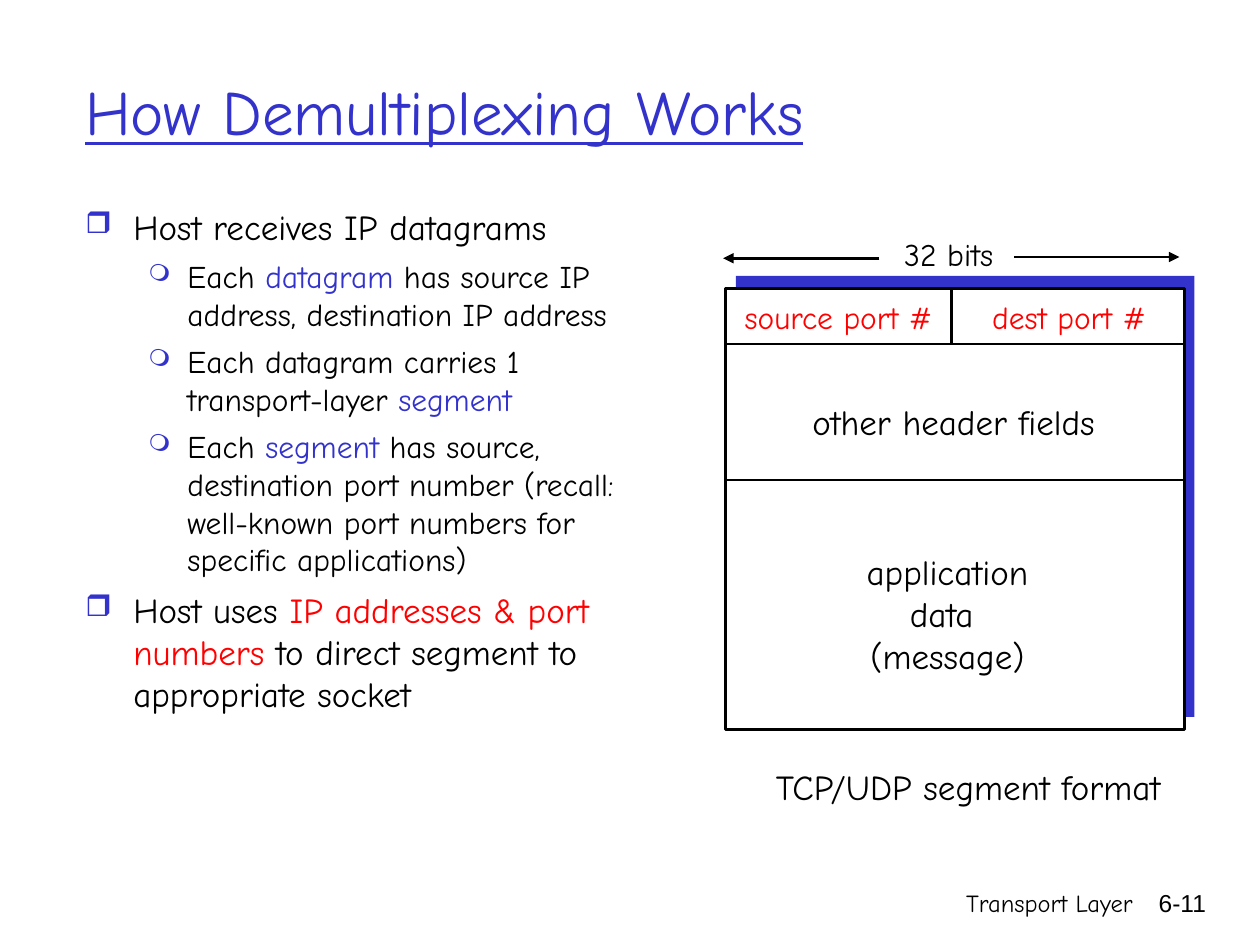
from lxml import etree
from pptx import Presentation
from pptx.dml.color import RGBColor
from pptx.enum.shapes import MSO_CONNECTOR, MSO_SHAPE
from pptx.enum.text import MSO_ANCHOR, PP_ALIGN
from pptx.oxml.ns import qn
from pptx.util import Inches, Pt

RECT = MSO_SHAPE.RECTANGLE
STRAIGHT = MSO_CONNECTOR.STRAIGHT
MIDDLE, TOP = MSO_ANCHOR.MIDDLE, MSO_ANCHOR.TOP
LEFT, CENTER, RIGHT = PP_ALIGN.LEFT, PP_ALIGN.CENTER, PP_ALIGN.RIGHT

BLACK = RGBColor(0, 0, 0)
WHITE = RGBColor(255, 255, 255)
BLUE = RGBColor(0x33, 0x33, 0xCC)
RED = RGBColor(255, 0, 0)
FONT = "Comic Neue"

LEVELS = [
    {"bullet": "❒", "bullet_size": 85, "margin": 0.38, "hang": 0.38, "size": 20, "before": 6},
    {"bullet": "❍", "bullet_size": 75, "margin": 0.81, "hang": 0.31, "size": 18, "before": 5.4},
]

BODY = [
    (0, [("Host receives IP datagrams", BLACK)]),
    (1, [("Each ", BLACK), ("datagram", BLUE),
         (" has source IP address, destination IP address", BLACK)]),
    (1, [("Each datagram carries 1 transport-layer ", BLACK), ("segment", BLUE)]),
    (1, [("Each ", BLACK), ("segment", BLUE),
         (" has source, destination port number (recall: "
          "well-known port numbers for specific applications)", BLACK)]),
    (0, [("Host uses ", BLACK), ("IP addresses & port numbers ", RED),
         ("to direct segment to appropriate socket", BLACK)]),
]

SEGMENT_LABELS = [
    ((7.01, 1.82, 1.04, 0.4), ["32 bits"], {"size": 18}),
    ((5.74, 2.32, 1.83, 0.4), ["source port #"], {"size": 18, "color": RED}),
    ((7.69, 2.32, 1.59, 0.4), ["dest port #"], {"size": 18, "color": RED}),
    ((6.2, 3.13, 2.74, 0.43), ["other header fields"], {}),
    ((6.73, 4.32, 1.58, 1.1), ["application", "data ", "(message)"], {}),
    ((5.91, 6.03, 3.55, 0.43), ["TCP/UDP segment format"], {}),
]

DIVIDERS = [
    ((5.76, 2.73), (9.4, 2.73)),
    ((5.76, 3.81), (9.4, 3.81)),
    ((7.55, 2.73), (7.55, 2.29)),
]

WIDTH_ARROWS = [
    ((8.05, 2.04), (9.36, 2.04)),
    ((6.98, 2.05), (5.74, 2.05)),
]


def add_frame(s, box, wrap=True, anchor=TOP):
    tf = s.shapes.add_textbox(*map(Inches, box)).text_frame
    tf.word_wrap = wrap
    tf.vertical_anchor = anchor
    return tf


def add_run(p, text, size=20, color=BLACK, name=FONT, underline=None):
    r = p.add_run()
    r.text = text
    r.font.color.rgb = color
    for key, value in {"size": Pt(size), "name": name, "underline": underline}.items():
        setattr(r.font, key, value)


def add_label(s, box, lines, align=CENTER, wrap=False, anchor=TOP, **style):
    tf = add_frame(s, box, wrap, anchor)
    for i, line in enumerate(lines):
        p = tf.add_paragraph() if i else tf.paragraphs[0]
        p.alignment = align
        add_run(p, line, **style)


def add_bullet(p, level):
    pPr = p._p.get_or_add_pPr()
    pPr.set("marL", str(Inches(level["margin"])))
    pPr.set("indent", str(-Inches(level["hang"])))
    color = etree.SubElement(pPr, qn("a:buClr"))
    etree.SubElement(color, qn("a:srgbClr"), val=str(BLUE))
    etree.SubElement(pPr, qn("a:buSzPct"), val=str(level["bullet_size"] * 1000))
    etree.SubElement(pPr, qn("a:buChar"), char=level["bullet"])


def add_body(s, box, items):
    tf = add_frame(s, box)
    for i, (depth, pieces) in enumerate(items):
        p = tf.add_paragraph() if i else tf.paragraphs[0]
        level = LEVELS[depth]
        add_bullet(p, level)
        p.level = depth
        if i:
            p.space_before = Pt(level["before"])
        for text, color in pieces:
            add_run(p, text, level["size"], color)


def add_rect(s, box, fill, outline=None):
    sp = s.shapes.add_shape(RECT, *map(Inches, box))
    sp.shadow.inherit = False
    sp.fill.solid()
    sp.fill.fore_color.rgb = fill
    if outline is None:
        sp.line.fill.background()
    else:
        sp.line.color.rgb = outline
        sp.line.width = Pt(1.5)


def add_line(s, start, end, arrow=False):
    line = s.shapes.add_connector(STRAIGHT, *map(Inches, start + end))
    line.line.color.rgb = BLACK
    line.line.width = Pt(1.5)
    spPr = line._element.spPr
    if arrow:
        etree.SubElement(spPr.find(qn("a:ln")), qn("a:tailEnd"), type="triangle")
    etree.SubElement(spPr, qn("a:effectLst"))


def add_segment(s):
    add_rect(s, (5.84, 2.19, 3.64, 3.5), BLUE)
    add_rect(s, (5.76, 2.29, 3.64, 3.5), WHITE, BLACK)
    for start, end in DIVIDERS:
        add_line(s, start, end)
    for start, end in WIDTH_ARROWS:
        add_line(s, start, end, arrow=True)
    for box, lines, style in SEGMENT_LABELS:
        add_label(s, box, lines, **style)


def main():
    prs = Presentation()
    prs.slide_width, prs.slide_height = Inches(10), Inches(7.5)
    s = prs.slides.add_slide(prs.slide_layouts[6])
    add_label(s, (0.58, 0.25, 8.5, 1.25), ["How Demultiplexing Works"], LEFT,
              wrap=True, anchor=MIDDLE, size=36, color=BLUE, underline=True)
    add_body(s, (0.58, 1.58, 4.67, 3.05), BODY)
    add_segment(s)
    add_label(s, (5.92, 7, 3.17, 0.5), ["Transport Layer"], RIGHT, wrap=True, size=14)
    add_label(s, (8.93, 7, 0.74, 0.5), ["6-11"], RIGHT, wrap=True, size=14, name="Arial")
    prs.save("out.pptx")


if __name__ == "__main__":
    main()
